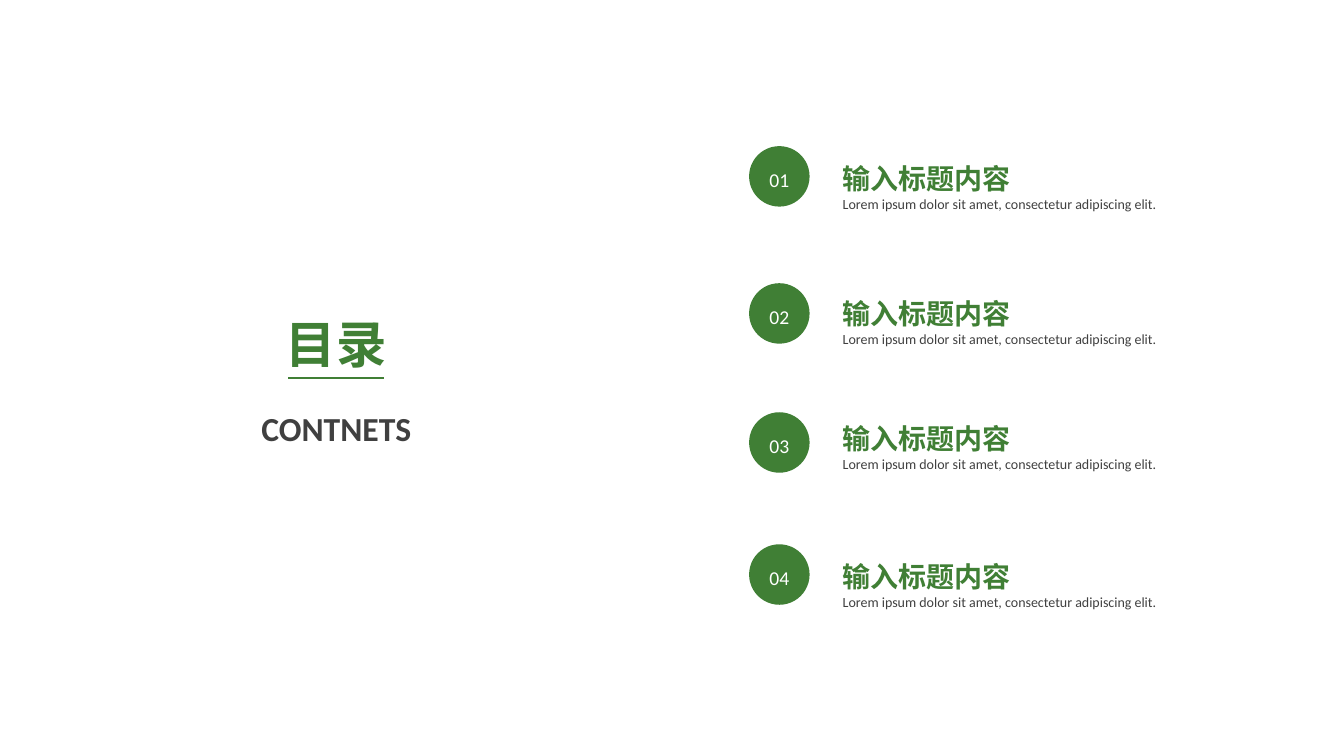
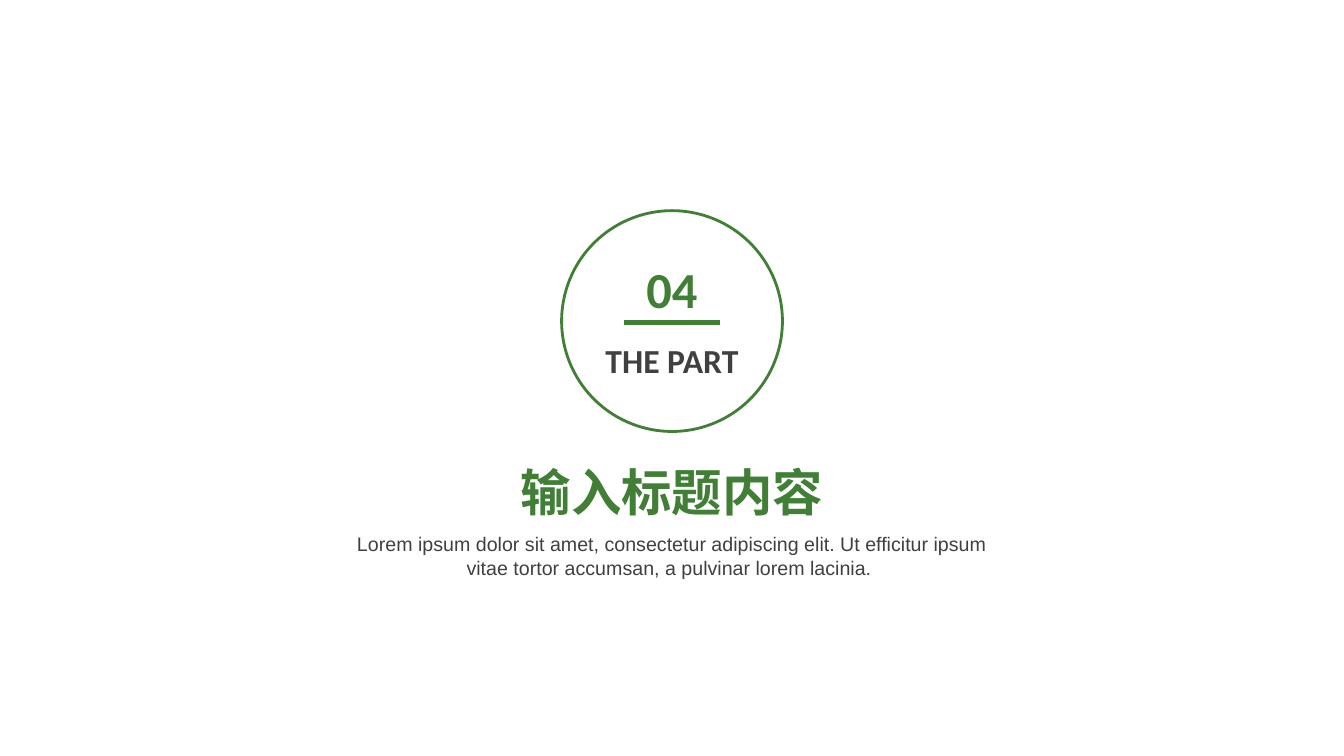
from lxml.etree import SubElement
from pptx import Presentation
from pptx.dml.color import RGBColor
from pptx.enum.shapes import MSO_CONNECTOR, MSO_SHAPE
from pptx.enum.text import MSO_ANCHOR, MSO_AUTO_SIZE, PP_ALIGN
from pptx.oxml.ns import qn
from pptx.util import Inches, Pt

GREEN = RGBColor(0x40, 0x7F, 0x35)
GRAY = RGBColor(0x40, 0x40, 0x40)
WHITE = RGBColor(0xFF, 0xFF, 0xFF)
LEFT, CENTER = PP_ALIGN.LEFT, PP_ALIGN.CENTER

HEADING = "输入标题内容"
LOREM = "Lorem ipsum dolor sit amet, consectetur adipiscing elit."
# Circle top and heading top of each contents entry
ENTRIES = [(1.45, 1.45), (2.81, 2.79), (4.09, 4.03), (5.4, 5.4)]
RULE_LENGTH, RULE_PARTS = 0.95, 4


def write(tf, text, size=14, color=GRAY, bold=False, font="Calibri",
          align=CENTER, spacing=1.3, anchor=MSO_ANCHOR.TOP):
    tf.vertical_anchor = anchor
    p = tf.paragraphs[0]
    p.alignment = align
    p.line_spacing = spacing
    r = p.add_run()
    r.text = text
    r.font.size = Pt(size)
    r.font.bold = bold
    r.font.color.rgb = color
    r.font.name = font
    # The East Asian typeface has no public property
    SubElement(r.font._element, qn("a:ea")).set("typeface", font)


class Deck:
    def __init__(self):
        self.prs = Presentation()
        self.prs.slide_width = Inches(13.33)
        self.prs.slide_height = Inches(7.5)
        self.slide = None

    def new_slide(self):
        self.slide = self.prs.slides.add_slide(self.prs.slide_layouts[5])
        fill = self.slide.background.fill
        fill.solid()
        fill.fore_color.rgb = WHITE

    def title(self, text, x, y, w, h, **fmt):
        sp = self.slide.shapes.title
        sp.left, sp.top, sp.width, sp.height = map(Inches, (x, y, w, h))
        sp.text_frame.word_wrap = False
        sp.text_frame.auto_size = MSO_AUTO_SIZE.SHAPE_TO_FIT_TEXT
        write(sp.text_frame, text, size=36, color=GREEN, bold=True, **fmt)

    def text(self, text, x, y, w, h, wrap=True, **fmt):
        sp = self.slide.shapes.add_textbox(*map(Inches, (x, y, w, h)))
        sp.text_frame.word_wrap = wrap
        sp.text_frame.auto_size = MSO_AUTO_SIZE.SHAPE_TO_FIT_TEXT
        write(sp.text_frame, text, **fmt)

    def circle(self, x, y, d, fill, line=None):
        sp = self.slide.shapes.add_shape(
            MSO_SHAPE.OVAL, *map(Inches, (x, y, d, d)))
        sp.shadow.inherit = False
        sp.fill.solid()
        sp.fill.fore_color.rgb = fill
        if line is None:
            sp.line.fill.background()
        else:
            sp.line.color.rgb = line
            sp.line.width = Pt(2)
        return sp

    def rule(self, x, y, width):
        """Draw the green underline as equal segments end to end."""
        step = RULE_LENGTH / RULE_PARTS
        for i in range(RULE_PARTS):
            start = x + i * step
            segment = self.slide.shapes.add_connector(
                MSO_CONNECTOR.STRAIGHT,
                *map(Inches, (start, y, start + step, y)))
            segment.line.color.rgb = GREEN
            segment.line.width = Pt(width)
            SubElement(segment._element.spPr, qn("a:effectLst"))

    def entry(self, number, circle_top, top):
        """Add a numbered circle with its heading and description."""
        sp = self.circle(7.43, circle_top, 0.6, GREEN)
        write(sp.text_frame, f"{number:02d}", color=WHITE,
              anchor=MSO_ANCHOR.MIDDLE)
        self.text(HEADING, 8.26, top, 1.88, 0.54, wrap=False, size=20,
                  color=GREEN, bold=True, align=LEFT)
        self.text(LOREM, 8.26, top + 0.39, 3.76, 0.32, size=10, align=LEFT)


def contents_slide(deck):
    deck.new_slide()
    for number, (circle_top, top) in enumerate(ENTRIES, 1):
        deck.entry(number, circle_top, top)
    deck.title("目录", 2.73, 2.88, 1.21, 0.89)
    deck.text("CONTNETS", 1.82, 3.88, 3.03, 0.63, size=24, bold=True)
    deck.rule(2.86, 3.75, 2)


def section_slide(deck):
    deck.new_slide()
    deck.title(HEADING, 5.05, 4.52, 3.23, 0.71, spacing=1.0)
    deck.text(f"{LOREM} Ut efficitur ipsum vitae tortor accumsan, "
              "a pulvinar lorem lacinia. ",
              3.39, 5.23, 6.55, 0.57, font="Arial", spacing=1.0)
    deck.circle(5.57, 2.09, 2.19, WHITE, line=GREEN)
    deck.text("04", 6.31, 2.33, 0.71, 0.89, wrap=False, size=36,
              color=GREEN, bold=True)
    deck.text("THE PART", 5.15, 3.2, 3.03, 0.63, size=24, bold=True)
    deck.rule(6.19, 3.2, 3)


def main():
    deck = Deck()
    contents_slide(deck)
    section_slide(deck)
    deck.prs.save("out.pptx")


if __name__ == "__main__":
    main()
